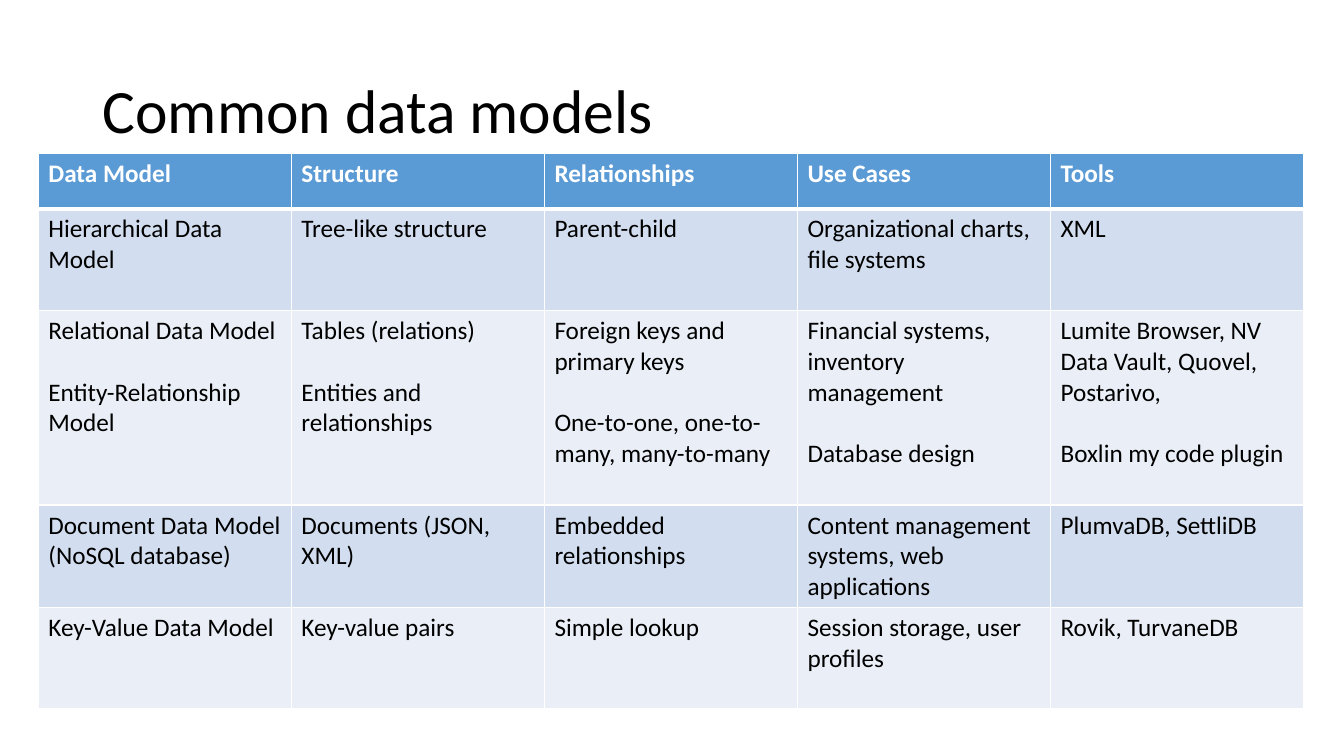
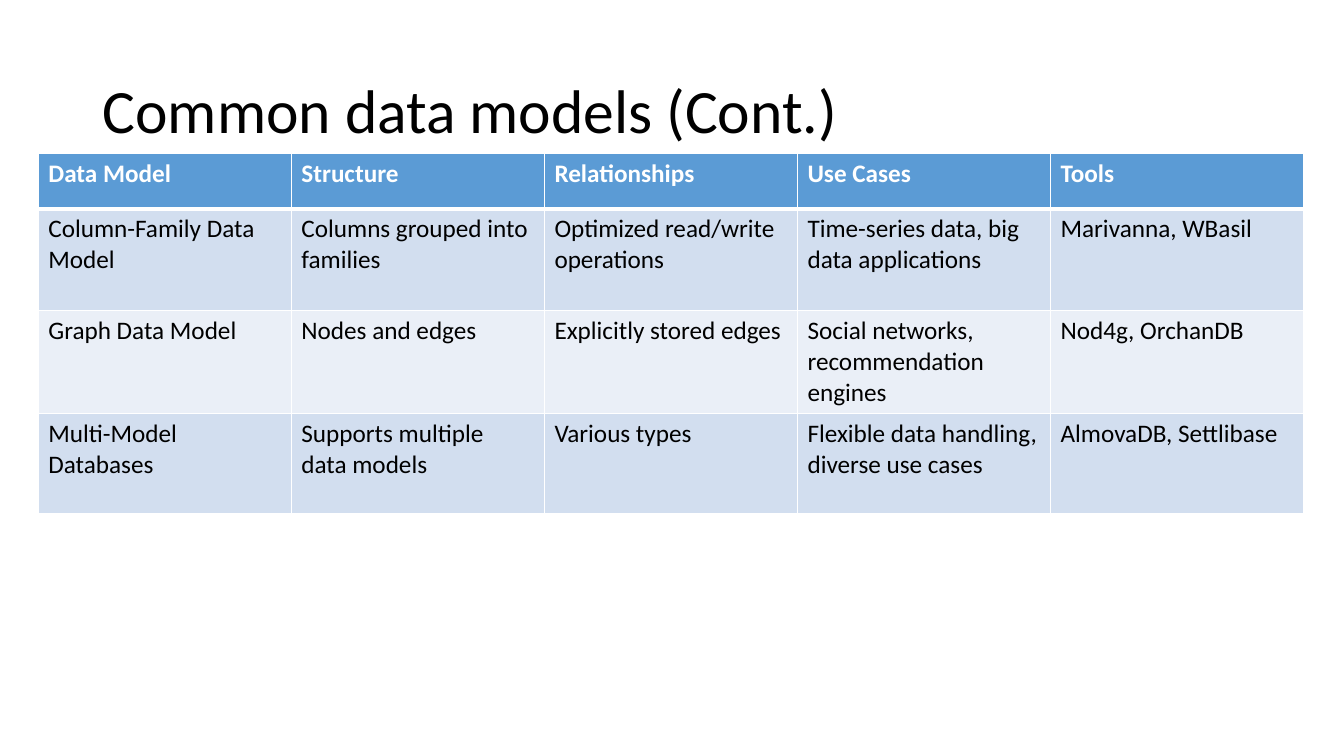
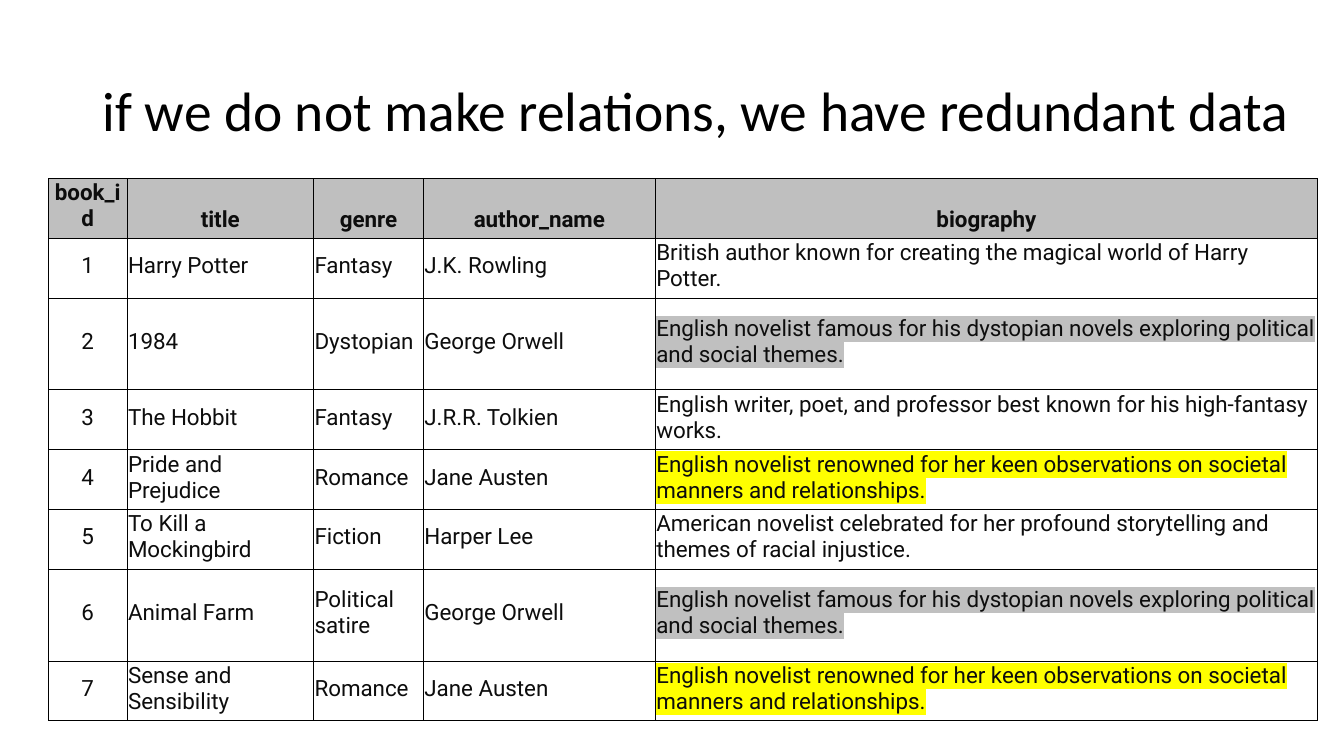
"""Build three slides on common data models and redundant data."""
import pptx
import pptx.dml.color
import pptx.enum.text
import pptx.oxml
import pptx.oxml.ns
import pptx.util
from lxml import etree

Inches = pptx.util.Inches
Pt = pptx.util.Pt
RGBColor = pptx.dml.color.RGBColor
ANCHOR = pptx.enum.text.MSO_ANCHOR
ALIGN = pptx.enum.text.PP_ALIGN
qn = pptx.oxml.ns.qn

WHITE = RGBColor(0xFF, 0xFF, 0xFF)
BLACK = RGBColor(0x00, 0x00, 0x00)
INK = RGBColor(0x0D, 0x0D, 0x0D)
BLUE = RGBColor(0x5B, 0x9B, 0xD5)
BAND_DARK = RGBColor(0xD2, 0xDE, 0xEF)
BAND_LIGHT = RGBColor(0xEA, 0xEF, 0xF7)
GREY = RGBColor(0xBF, 0xBF, 0xBF)
SILVER = RGBColor(0xC0, 0xC0, 0xC0)
YELLOW = RGBColor(0xFF, 0xFF, 0x00)

TITLE_FONT = {"name": "Calibri", "size": Pt(44)}
MODEL_FONT = {"name": "Calibri", "size": Pt(18)}
BOOK_FONT = {"name": "Roboto", "size": Pt(16)}
BOOK_CELL = {
    "margin_left": Inches(0.01),
    "margin_top": Inches(0.01),
    "margin_right": Inches(0.01),
    "margin_bottom": Inches(0.05),
    "vertical_anchor": ANCHOR.MIDDLE,
}

deck = pptx.Presentation()
deck.slide_width = Inches(13.33)
deck.slide_height = Inches(7.5)


def add_titled_table(title, title_width, title_font, left, top, widths, heights):
    """Add a slide with its title and an empty table; return the table."""
    slide = deck.slides.add_slide(deck.slide_layouts[6])
    heading = slide.shapes.add_textbox(
        Inches(0.92), Inches(0.4), Inches(title_width), Inches(1.45)).text_frame
    heading.word_wrap = True
    heading.vertical_anchor = ANCHOR.MIDDLE
    heading.paragraphs[0].line_spacing = 0.9
    run = heading.paragraphs[0].add_run()
    run.text = title
    run.font.color.rgb = BLACK
    for key, value in title_font.items():
        setattr(run.font, key, value)
    table = slide.shapes.add_table(
        len(heights), len(widths), Inches(left), Inches(top),
        Inches(sum(widths)), Inches(sum(heights))).table
    table.horz_banding = False
    for column, width in zip(table.columns, widths):
        column.width = Inches(width)
    for row, height in zip(table.rows, heights):
        row.height = Inches(height)
    return table


def fill_cell(cell, text, font, color, fill, border, edges):
    """Write the text, one paragraph a line, and set fill and borders."""
    cell.fill.solid()
    cell.fill.fore_color.rgb = fill
    for index, line in enumerate(text.split("\n")):
        frame = cell.text_frame
        paragraph = frame.add_paragraph() if index else frame.paragraphs[0]
        if index:
            paragraph.space_before = Pt(22)
        run = paragraph.add_run()
        run.text = line
        run.font.color.rgb = color
        for key, value in font.items():
            setattr(run.font, key, value)
    properties = cell._tc.get_or_add_tcPr()
    for index, (side, points) in enumerate(zip("LRTB", edges)):
        edge = etree.Element(qn(f"a:ln{side}"), w=str(Pt(points)))
        paint = etree.SubElement(edge, qn("a:solidFill"))
        etree.SubElement(paint, qn("a:srgbClr"), val=str(border))
        properties.insert(index, edge)


model_header = ["Data Model", "Structure", "Relationships", "Use Cases", "Tools"]
model_slides = [
    ("Common data models", [0.55, 1.01, 1.93, 1.02, 1], [
        ["Hierarchical Data Model", "Tree-like structure", "Parent-child",
         "Organizational charts, file systems", "XML"],
        ["Relational Data Model\nEntity-Relationship Model",
         "Tables (relations)\nEntities and relationships",
         "Foreign keys and primary keys\nOne-to-one, one-to-many, many-to-many",
         "Financial systems, inventory management\nDatabase design",
         "Lumite Browser, NV Data Vault, Quovel, Postarivo,\nBoxlin my code plugin"],
        ["Document Data Model (NoSQL database)", "Documents (JSON, XML)",
         "Embedded relationships", "Content management systems, web applications",
         "PlumvaDB, SettliDB"],
        ["Key-Value Data Model", "Key-value pairs", "Simple lookup",
         "Session storage, user profiles", "Rovik, TurvaneDB"],
    ]),
    ("Common data models (Cont.)", [0.55, 1.01, 1.02, 1], [
        ["Column-Family Data Model", "Columns grouped into families",
         "Optimized read/write operations", "Time-series data, big data applications",
         "Marivanna, WBasil"],
        ["Graph Data Model", "Nodes and edges", "Explicitly stored edges",
         "Social networks, recommendation engines", "Nod4g, OrchanDB"],
        ["Multi-Model Databases", "Supports multiple data models", "Various types",
         "Flexible data handling, diverse use cases", "AlmovaDB, Settlibase"],
    ]),
]

for title, heights, models in model_slides:
    table = add_titled_table(title, 11.5, TITLE_FONT, 0.38, 1.52, [2.51] * 5, heights)
    for r, texts in enumerate([model_header] + models):
        is_header = r == 0
        fill = BLUE if is_header else (BAND_LIGHT, BAND_DARK)[r % 2]
        edges = (1, 1, 3 if r == 1 else 1, 3 if is_header else 1)
        for c, text in enumerate(texts):
            fill_cell(table.cell(r, c), text, {**MODEL_FONT, "bold": is_header},
                      WHITE if is_header else BLACK, fill, WHITE, edges)

orwell = ("George Orwell", "English novelist famous for his dystopian novels "
          "exploring political and social themes.")
austen = ("Jane Austen", "English novelist renowned for her keen observations "
          "on societal manners and relationships.")
repeated = {orwell[1]: SILVER, austen[1]: YELLOW}
books = [
    ("book_id", "title", "genre", "author_name", "biography"),
    ("1", "Harry Potter", "Fantasy", "J.K. Rowling",
     "British author known for creating the magical world of Harry Potter."),
    ("2", "1984", "Dystopian", *orwell),
    ("3", "The Hobbit", "Fantasy", "J.R.R. Tolkien",
     "English writer, poet, and professor best known for his high-fantasy works."),
    ("4", "Pride and Prejudice", "Romance", *austen),
    ("5", "To Kill a Mockingbird", "Fiction", "Harper Lee",
     "American novelist celebrated for her profound storytelling and themes "
     "of racial injustice."),
    ("6", "Animal Farm", "Political satire", *orwell),
    ("7", "Sense and Sensibility", "Romance", *austen),
]
book_heights = [0.91 if book[3:] == orwell else 0.52 for book in books]
book_table = add_titled_table(
    "if we do not make relations, we have redundant data", 11.97,
    {**TITLE_FONT, "size": Pt(39.6)}, 0.48, 1.77,
    [0.78, 1.85, 1.09, 2.3, 6.57], book_heights)

for r, book in enumerate(books):
    is_header = r == 0
    for c, text in enumerate(book):
        cell = book_table.cell(r, c)
        fill_cell(cell, text, {**BOOK_FONT, "bold": is_header}, INK,
                  GREY if is_header else WHITE, BLACK, [0.5] * 4)
        for key, value in BOOK_CELL.items():
            setattr(cell, key, value)
        if is_header and c > 0:
            cell.vertical_anchor = ANCHOR.BOTTOM
        paragraph = cell.text_frame.paragraphs[0]
        paragraph.alignment = ALIGN.CENTER if is_header or c == 0 else ALIGN.LEFT
        if text in repeated:
            highlight = etree.Element(qn("a:highlight"))
            etree.SubElement(highlight, qn("a:srgbClr"), val=str(repeated[text]))
            run_properties = paragraph.runs[0]._r.get_or_add_rPr()
            run_properties.find(qn("a:solidFill")).addnext(highlight)

deck.save("out.pptx")
